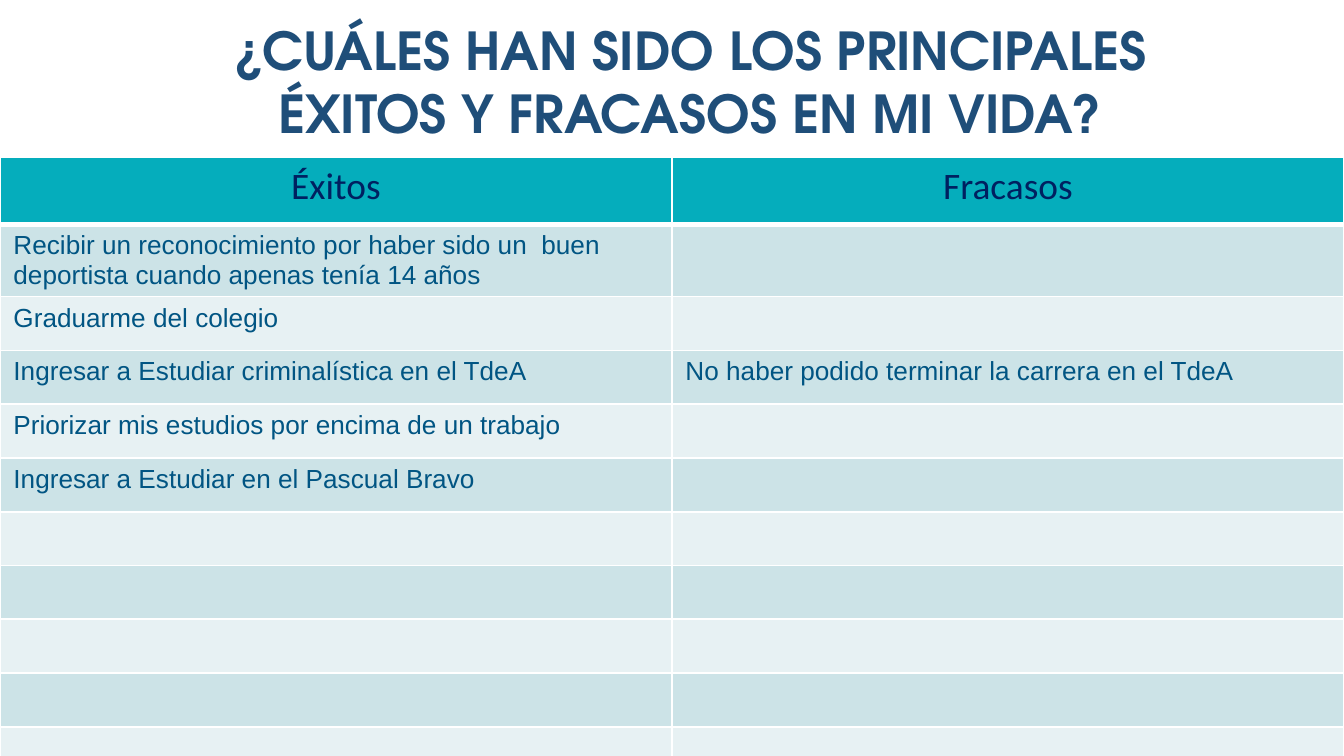
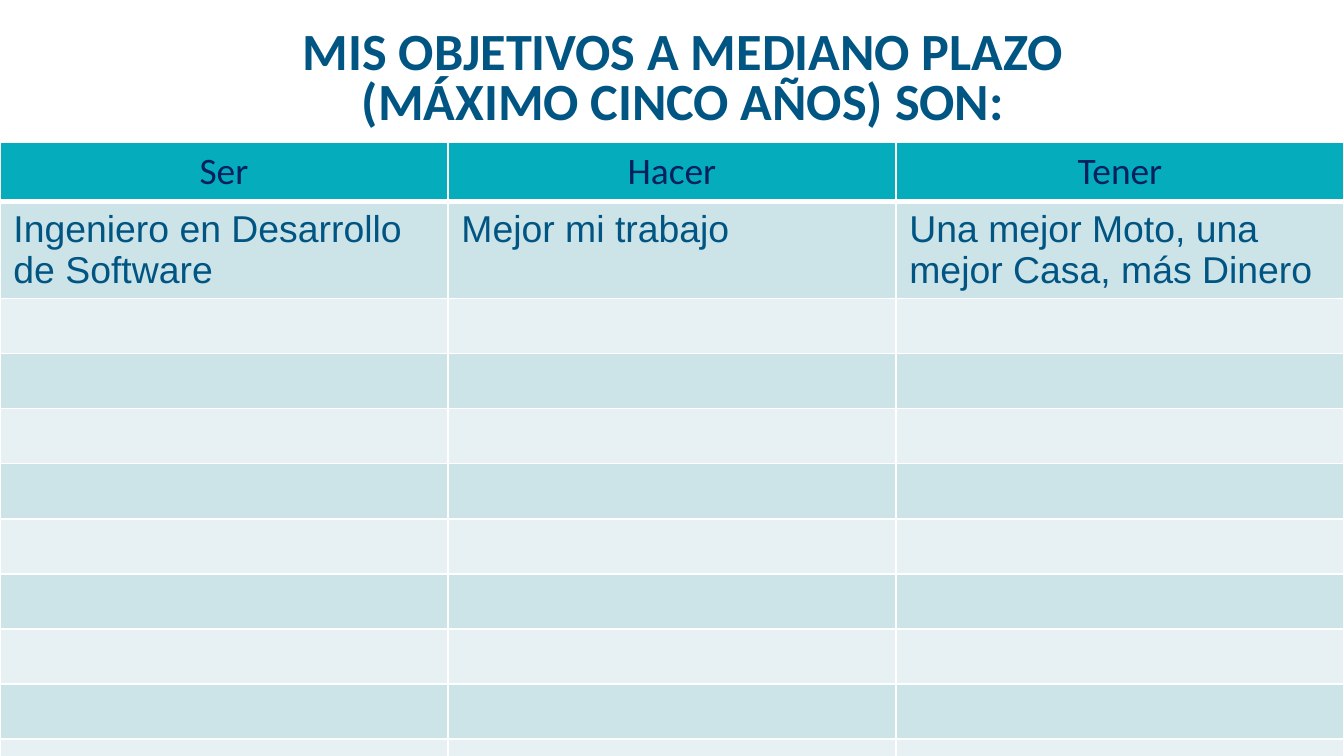
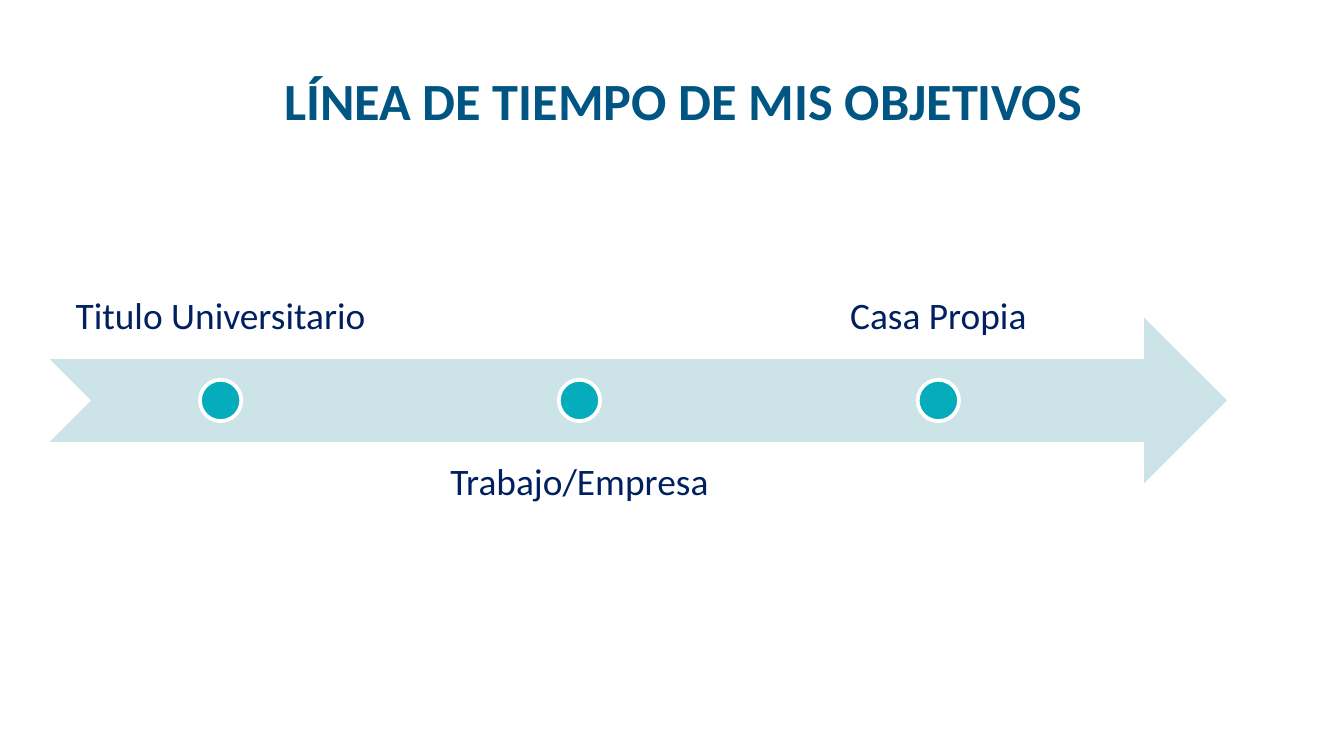
from lxml.etree import SubElement
from pptx import Presentation
from pptx.dml.color import RGBColor
from pptx.enum.shapes import MSO_SHAPE as Shape
from pptx.enum.text import MSO_ANCHOR as Anchor, MSO_AUTO_SIZE as AutoSize, PP_ALIGN as Align
from pptx.oxml.ns import qn
from pptx.util import Inches, Pt

SLIDE_WIDTH, SLIDE_HEIGHT = 10, 5.625
TITLE_ONLY = 5
WHITE, NAVY, BLUE, DEEP_BLUE = "FFFFFF", "002060", "015583", "1F4E79"
TEAL, BAND_DARK, BAND_LIGHT = "05ADBC", "CCE3E7", "E7F1F3"
HEADING_FONT, BODY_FONT = "Calibri", "Arial"
EMPTY_ROWS = 9

WIDE_TITLE = (1.36, 0.11, 7.55, 1.06)
TITLE = (1.79, 0.13, 6.58, 0.94)
TIMELINE = (0.37, 1.44, 8.76, 3.08)

ACHIEVEMENTS = [
    ("Éxitos", "Fracasos"),
    ("Recibir un reconocimiento por haber sido un  buen deportista cuando apenas tenía 14 años", ""),
    ("Graduarme del colegio", ""),
    ("Ingresar a Estudiar criminalística en el TdeA",
     "No haber podido terminar la carrera en el TdeA"),
    ("Priorizar mis estudios por encima de un trabajo", ""),
    ("Ingresar a Estudiar en el Pascual Bravo", ""),
] + [("", "")] * 5
GOALS = [
    ("Ser", "Hacer", "Tener"),
    ("Ingeniero en Desarrollo de Software", "Mejor mi trabajo",
     "Una mejor Moto, una mejor Casa, más Dinero"),
] + [("", "", "")] * EMPTY_ROWS
MILESTONES = ["Titulo Universitario", "Trabajo/Empresa", "Casa Propia"]


def color(value):
    """Turn a hex string into a colour."""
    return RGBColor.from_string(value)


def inches(*lengths):
    """Turn numbers into lengths in inches."""
    return [Inches(length) for length in lengths]


def write(frame, text, font=HEADING_FONT, size=20, ink=NAVY, bold=False,
          align=Align.CENTER, spacing=None):
    """Write one formatted paragraph into a text frame."""
    paragraph = frame.paragraphs[0]
    paragraph.alignment = align
    paragraph.line_spacing = spacing
    run = paragraph.add_run()
    run.text = text
    run.font.name, run.font.size, run.font.bold = font, Pt(size), bold
    run.font.color.rgb = color(ink)


def set_frame(frame, margin, anchor):
    """Give a text frame equal margins, wrapping and an anchor."""
    frame.margin_left = frame.margin_right = Inches(margin)
    frame.margin_top = frame.margin_bottom = Inches(margin)
    frame.word_wrap = True
    frame.auto_size = AutoSize.NONE
    frame.vertical_anchor = anchor


def add_slide(presentation, title, box=TITLE, **style):
    """Add a white slide with its title placed in a box."""
    slide = presentation.slides.add_slide(presentation.slide_layouts[TITLE_ONLY])
    slide.background.fill.solid()
    slide.background.fill.fore_color.rgb = color(WHITE)
    shape = slide.shapes.title
    shape.left, shape.top, shape.width, shape.height = inches(*box)
    set_frame(shape.text_frame, 0.1, Anchor.BOTTOM)
    write(shape.text_frame, title, **{"size": 28, "ink": BLUE, "bold": True, "spacing": 0.8, **style})
    return slide


def style_cell(cell, fill, bottom_width):
    """Give a cell white borders and a plain fill."""
    properties = cell._tc.get_or_add_tcPr()
    for side, width in (("L", 1), ("R", 1), ("T", 1), ("B", bottom_width)):
        border = SubElement(properties, qn(f"a:ln{side}"), w=str(Pt(width)))
        SubElement(SubElement(border, qn("a:solidFill")), qn("a:srgbClr"), val=WHITE)
    cell.fill.solid()
    cell.fill.fore_color.rgb = color(fill)


def add_banded_table(slide, rows, top, header_height, row_height, text_size):
    """Add a full-width table with a header and alternating bands."""
    columns = len(rows[0])
    height = header_height + row_height * (len(rows) - 1)
    table = slide.shapes.add_table(len(rows), columns, *inches(0, top, SLIDE_WIDTH, height)).table
    for column in table.columns:
        column.width = Inches(SLIDE_WIDTH / columns)
    for index, values in enumerate(rows):
        is_header = index == 0
        table.rows[index].height = Inches(header_height if is_header else row_height)
        fill = TEAL if is_header else (BAND_LIGHT, BAND_DARK)[index % 2]
        for cell, text in zip(table.rows[index].cells, values):
            style_cell(cell, fill, 3 if is_header else 1)
            if is_header:
                write(cell.text_frame, text)
            elif text:
                write(cell.text_frame, text, font=BODY_FONT, size=text_size,
                      ink=BLUE, align=Align.LEFT)
            else:
                SubElement(cell.text_frame.paragraphs[0]._p, qn("a:endParaRPr"), sz="1400")


def add_plain_shape(shapes, kind, box, fill):
    """Add a filled preset shape without line or shadow."""
    shape = shapes.add_shape(kind, *inches(*box))
    shape.shadow.inherit = False
    shape.fill.solid()
    shape.fill.fore_color.rgb = color(fill)
    shape.line.fill.background()
    return shape


def add_timeline(slide, milestones, box):
    """Add an arrow with dots and labels above and below in turn."""
    left, top, width, height = box
    band = height * 0.4
    dot = band / 4
    slot = width * 0.9 / (len(milestones) * 1.05 - 0.05)
    shapes = slide.shapes.add_group_shape().shapes
    add_plain_shape(shapes, Shape.NOTCHED_RIGHT_ARROW,
                    (left, top + height * 0.3, width, band), BAND_DARK)
    for index, text in enumerate(milestones):
        is_above = index % 2 == 0
        slot_left = left + index * slot * 1.05
        label_top = top if is_above else top + height - band
        label = shapes.add_textbox(*inches(slot_left, label_top, slot, band))
        set_frame(label.text_frame, 0.16, Anchor.BOTTOM if is_above else Anchor.TOP)
        write(label.text_frame, text, spacing=0.9)
        marker = add_plain_shape(shapes, Shape.OVAL, (
            slot_left + (slot - dot) / 2, top + (height - dot) / 2, dot, dot), TEAL)
        marker.line.color.rgb = color(WHITE)
        marker.line.width = Pt(2)


def main():
    """Build and save the presentation."""
    presentation = Presentation()
    presentation.slide_width, presentation.slide_height = inches(SLIDE_WIDTH, SLIDE_HEIGHT)

    slide = add_slide(presentation, "¿CUÁLES HAN SIDO LOS PRINCIPALES ÉXITOS Y FRACASOS EN MI VIDA?",
                      WIDE_TITLE, font="TeX Gyre Adventor", ink=DEEP_BLUE, spacing=1.0)
    add_banded_table(slide, ACHIEVEMENTS, top=1.17, header_height=0.5, row_height=0.4, text_size=14)

    slide = add_slide(presentation, "MIS OBJETIVOS A MEDIANO PLAZO (MÁXIMO CINCO AÑOS) SON:")
    add_banded_table(slide, GOALS, top=1.06, header_height=0.24, row_height=0.41, text_size=20)

    slide = add_slide(presentation, "LÍNEA DE TIEMPO DE MIS OBJETIVOS")
    add_timeline(slide, MILESTONES, TIMELINE)

    presentation.save("out.pptx")


if __name__ == "__main__":
    main()
